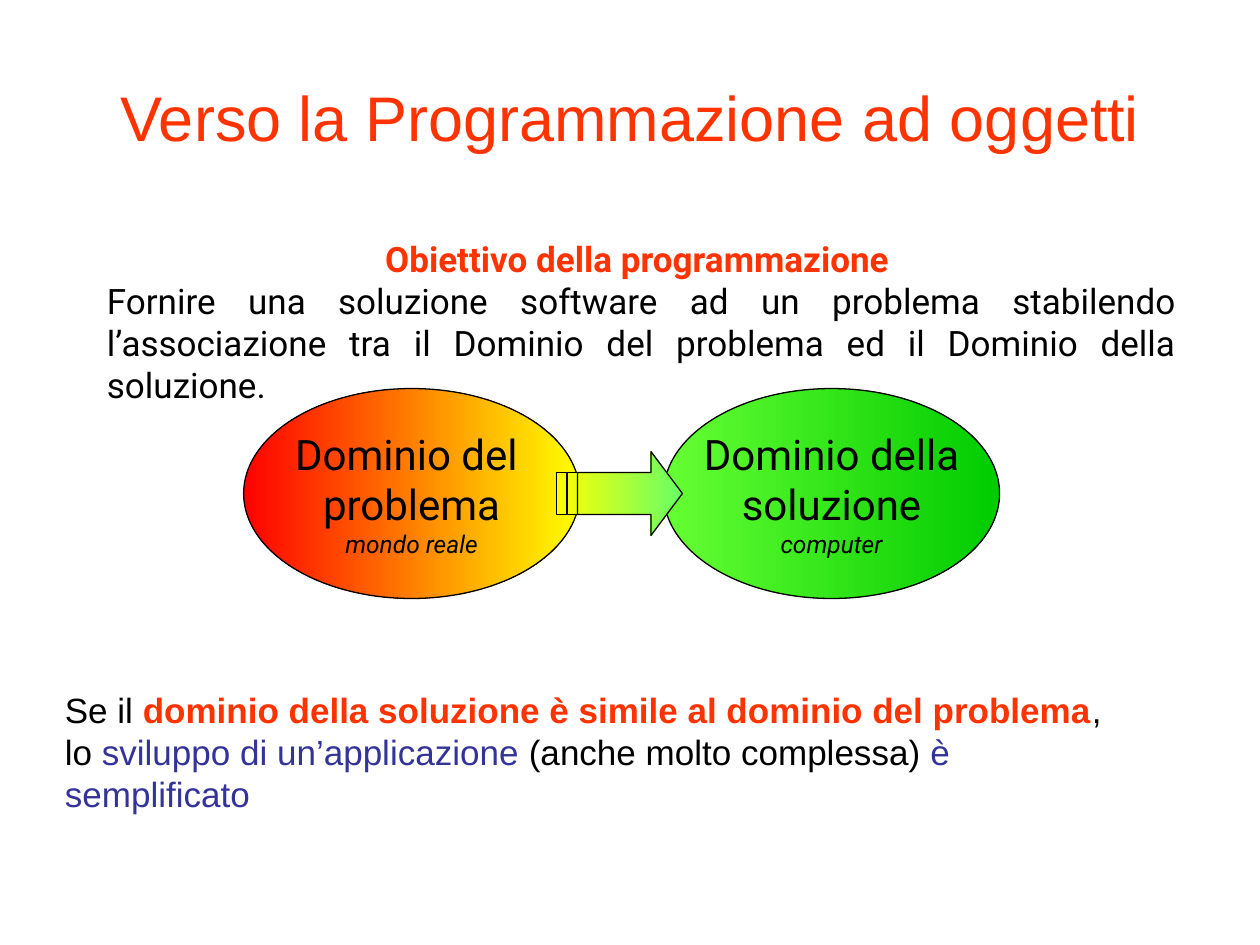
import pptx
import pptx.util
import pptx.dml.color
import pptx.enum.shapes
import pptx.enum.text

COLS, ROWS = 120, 90
HUES = {
    "ink": "000000", "title": "FF3300", "blue": "333399",
    "red": "FF0000", "gold": "FFFF00", "lime": "66FF33",
    "green": "00CC00", "mint": "66FF66",
}
ALIGN = pptx.enum.text.PP_ALIGN
ANCHOR = pptx.enum.text.MSO_ANCHOR


def tint(name):
    return pptx.dml.color.RGBColor.from_string(HUES[name])


class Deck:
    def __init__(self):
        self.file = pptx.Presentation()
        self.file.slide_width = pptx.util.Inches(10)
        self.file.slide_height = pptx.util.Inches(7.5)
        self.col = self.file.slide_width / COLS
        self.row = self.file.slide_height / ROWS
        self.page = self.file.slides.add_slide(self.file.slide_layouts[6])

    def grid(self, left, top, wide, high):
        return (round(left * self.col), round(top * self.row),
                round(wide * self.col), round(high * self.row))

    def label(self, shape, paras, **form):
        frame = shape.text_frame
        for key, val in form.items():
            setattr(frame, key, val)
        for num, (align, runs) in enumerate(paras):
            para = frame.paragraphs[0] if num == 0 else frame.add_paragraph()
            para.alignment = align
            for words, hue, style in runs:
                run = para.add_run()
                run.text = words
                run.font.color.rgb = tint(hue)
                for key, val in style.items():
                    setattr(run.font, key, val)

    def text(self, box, paras, **form):
        shape = self.page.shapes.add_textbox(*self.grid(*box))
        self.label(shape, paras, word_wrap=True, **form)

    def paint(self, shape, start, end):
        shape.shadow.inherit = False
        shape.fill.gradient()
        shape.fill.gradient_angle = 0
        for stop, hue in zip(shape.fill.gradient_stops, (start, end)):
            stop.color.rgb = tint(hue)
        shape.line.color.rgb = tint("ink")
        shape.line.width = pptx.util.Pt(0.75)

    def oval(self, box, hues, paras):
        kind = pptx.enum.shapes.MSO_SHAPE.OVAL
        shape = self.page.shapes.add_shape(kind, *self.grid(*box))
        self.paint(shape, *hues)
        self.label(shape, paras, word_wrap=False, vertical_anchor=ANCHOR.MIDDLE)

    def arrow(self, parts, hues):
        first, *rest = parts
        scale = (self.col, self.row)
        pen = self.page.shapes.build_freeform(*first[0], scale=scale)
        pen.add_line_segments(first[1:], close=True)
        for part in rest:
            pen.move_to(*part[0])
            pen.add_line_segments(part[1:], close=True)
        self.paint(pen.convert_to_shape(), *hues)


def font(name, size, **more):
    return {"name": name, "size": pptx.util.Pt(size), "bold": False, **more}


def main():
    deck = Deck()
    head, body = font("Arial", 36), font("Arial", 20)
    goal, large = font("Roboto", 20), font("Roboto", 24)
    small = font("Roboto", 14, italic=True)

    deck.text((6, 3.6, 108, 15), [
        (ALIGN.CENTER, [("Verso la Programmazione ad oggetti", "title", head)]),
    ], vertical_anchor=ANCHOR.MIDDLE)

    deck.text((9, 22, 104.2, 21.2), [
        (ALIGN.CENTER, [("Obiettivo della programmazione ", "title",
                         {**goal, "bold": True})]),
        (ALIGN.JUSTIFY, [("Fornire una soluzione software ad un problema "
                          "stabilendo l’associazione tra il Dominio del "
                          "problema ed il Dominio della soluzione.",
                          "ink", goal)]),
    ])

    left, top, wide, high, step = 23.2, 37, 32, 20, 40
    realms = [
        (("red", "gold"), ("Dominio del ", "problema", "mondo reale")),
        (("lime", "green"), ("Dominio della", "soluzione", "computer")),
    ]
    for num, (hues, lines) in enumerate(realms):
        paras = [(ALIGN.CENTER, [(line, "ink", style)])
                 for line, style in zip(lines, (large, large, small))]
        deck.oval((left + num * step, top, wide, high), hues, paras)

    mid = top + high / 2
    up, down = mid - 2, mid + 2
    neck, tip = 62.2, 65.2
    shaft = [(neck, mid - 4), (neck, up), (55.1, up), (55.1, down),
             (neck, down), (neck, mid + 4), (tip, mid)]
    bars = [[(a, up), (a, down), (b, down), (b, up)]
            for a, b in ((54, 54.7), (53.2, 53.6))]
    # freeform points are whole numbers of tenths of a grid cell
    deck.arrow([shaft, *bars], ("gold", "mint"))

    deck.text((5, 65, 102, 13.2), [(ALIGN.LEFT, [
        ("Se il ", "ink", body),
        ("dominio della soluzione è simile al dominio del problema", "title",
         {**body, "bold": True}),
        (", lo ", "ink", body),
        ("sviluppo di un’applicazione", "blue", body),
        (" (anche molto complessa) ", "ink", body),
        ("è semplificato", "blue", body),
    ])])
    deck.file.save("out.pptx")


if __name__ == "__main__":
    main()
